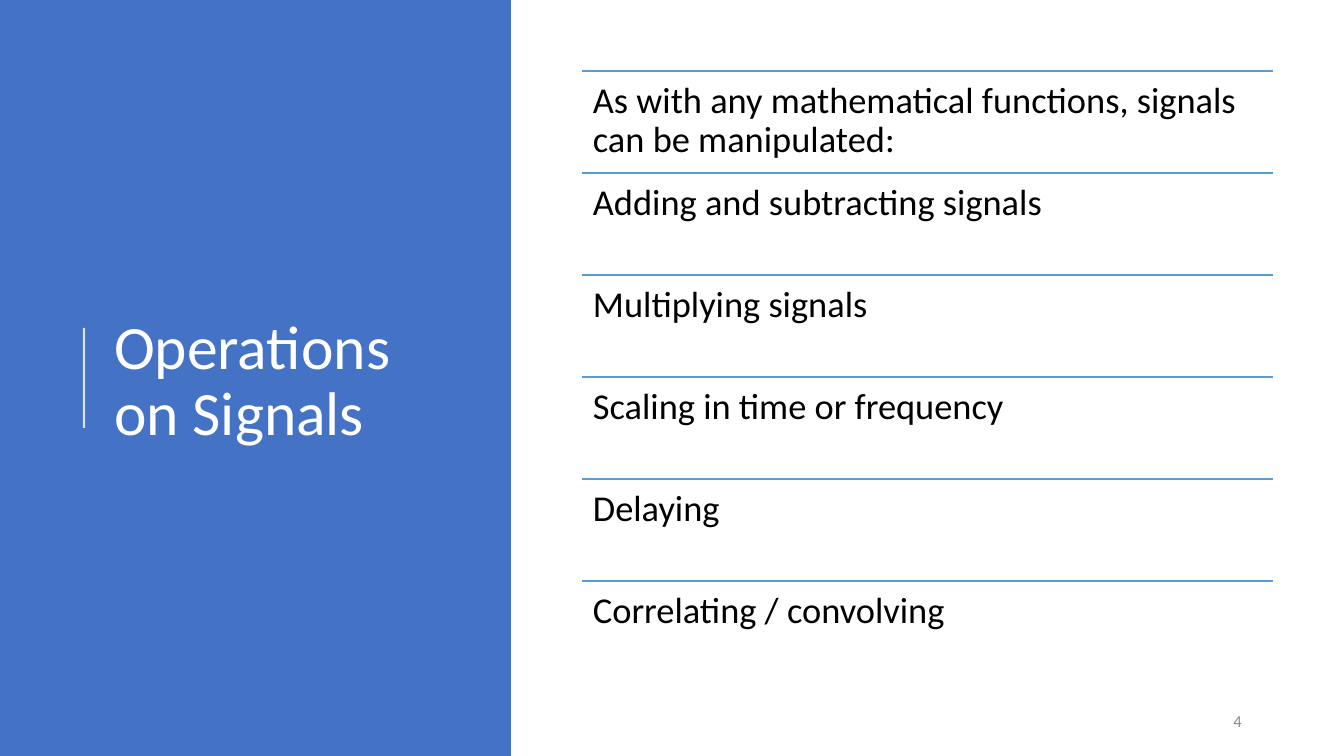
import pptx
import pptx.util
import pptx.dml.color
import pptx.enum.shapes
import pptx.enum.text
import pptx.oxml.ns
from lxml import etree

EMU_PER_PX = 914400 / 100.8
BLUE = pptx.dml.color.RGBColor(0x44, 0x72, 0xC4)
RULE_BLUE = pptx.dml.color.RGBColor(0x5B, 0x9B, 0xD5)
WHITE = pptx.dml.color.RGBColor(0xFF, 0xFF, 0xFF)
BLACK = pptx.dml.color.RGBColor(0x00, 0x00, 0x00)
GRAY = pptx.dml.color.RGBColor(0x8C, 0x8C, 0x8C)
ALIGN = pptx.enum.text.PP_ALIGN
ANCHOR = pptx.enum.text.MSO_ANCHOR


def px(*lengths):
    """Turn pixel lengths into EMU."""
    return [round(length * EMU_PER_PX) for length in lengths]


def write_text(box, text, size, color, align=ALIGN.LEFT, anchor=ANCHOR.TOP,
               spacing=1.0, inset_x=10, inset_y=5):
    frame = box.text_frame
    frame.word_wrap = True
    frame.auto_size = pptx.enum.text.MSO_AUTO_SIZE.NONE
    frame.vertical_anchor = anchor
    frame.margin_left, frame.margin_right = px(inset_x, inset_x)
    frame.margin_top, frame.margin_bottom = px(inset_y, inset_y)
    para = frame.paragraphs[0]
    para.alignment = align
    para.line_spacing = spacing
    span = para.add_run()
    span.text = text
    span.font.name = "Calibri"
    span.font.size = pptx.util.Pt(size)
    span.font.color.rgb = color


deck = pptx.Presentation()
deck.slide_width, deck.slide_height = px(1344, 756)
page = deck.slides.add_slide(deck.slide_layouts[5])
shapes = page.shapes

# Title panel, placed behind the title
title = shapes.title
panel = shapes.add_shape(pptx.enum.shapes.MSO_SHAPE.RECTANGLE, *px(0, 0, 511, 756))
panel.shadow.inherit = False
panel.fill.solid()
panel.fill.fore_color.rgb = BLUE
panel.line.fill.background()
title.element.addprevious(panel.element)

title.left, title.top, title.width, title.height = px(104, 79, 372, 607)
write_text(title, "Operations on Signals", 44, WHITE, anchor=ANCHOR.MIDDLE, spacing=0.9)

# Operations, each under a rule
operations = [
    "As with any mathematical functions, signals can be manipulated:",
    "Adding and subtracting signals",
    "Multiplying signals",
    "Scaling in time or frequency",
    "Delaying",
    "Correlating / convolving",
]
LIST_LEFT, LIST_TOP, LIST_WIDTH, LIST_HEIGHT = 582, 71, 691, 613
row_height = LIST_HEIGHT // len(operations)
rules = [(84, 428, 84, 328, WHITE, 1.5)]
for index, operation in enumerate(operations):
    top = LIST_TOP + LIST_HEIGHT * index // len(operations)
    rules.append((LIST_LEFT, top, LIST_LEFT + LIST_WIDTH, top, RULE_BLUE, 1))
    box = shapes.add_textbox(*px(LIST_LEFT, top, LIST_WIDTH, row_height))
    write_text(box, operation, 26, BLACK, spacing=0.9, inset_x=11, inset_y=11)

for x1, y1, x2, y2, color, weight in rules:
    rule = shapes.add_connector(pptx.enum.shapes.MSO_CONNECTOR.STRAIGHT, *px(x1, y1, x2, y2))
    rule.line.color.rgb = color
    rule.line.width = pptx.util.Pt(weight)
    etree.SubElement(rule.element.spPr, pptx.oxml.ns.qn("a:effectLst"))
    if color == WHITE:
        rgb = rule.element.spPr.find(".//" + pptx.oxml.ns.qn("a:srgbClr"))
        etree.SubElement(rgb, pptx.oxml.ns.qn("a:alpha"), val="80000")

page_number = shapes.add_textbox(*px(950, 701, 302, 40))
write_text(page_number, "4", 12, GRAY, align=ALIGN.RIGHT, anchor=ANCHOR.MIDDLE)

deck.save("out.pptx")
